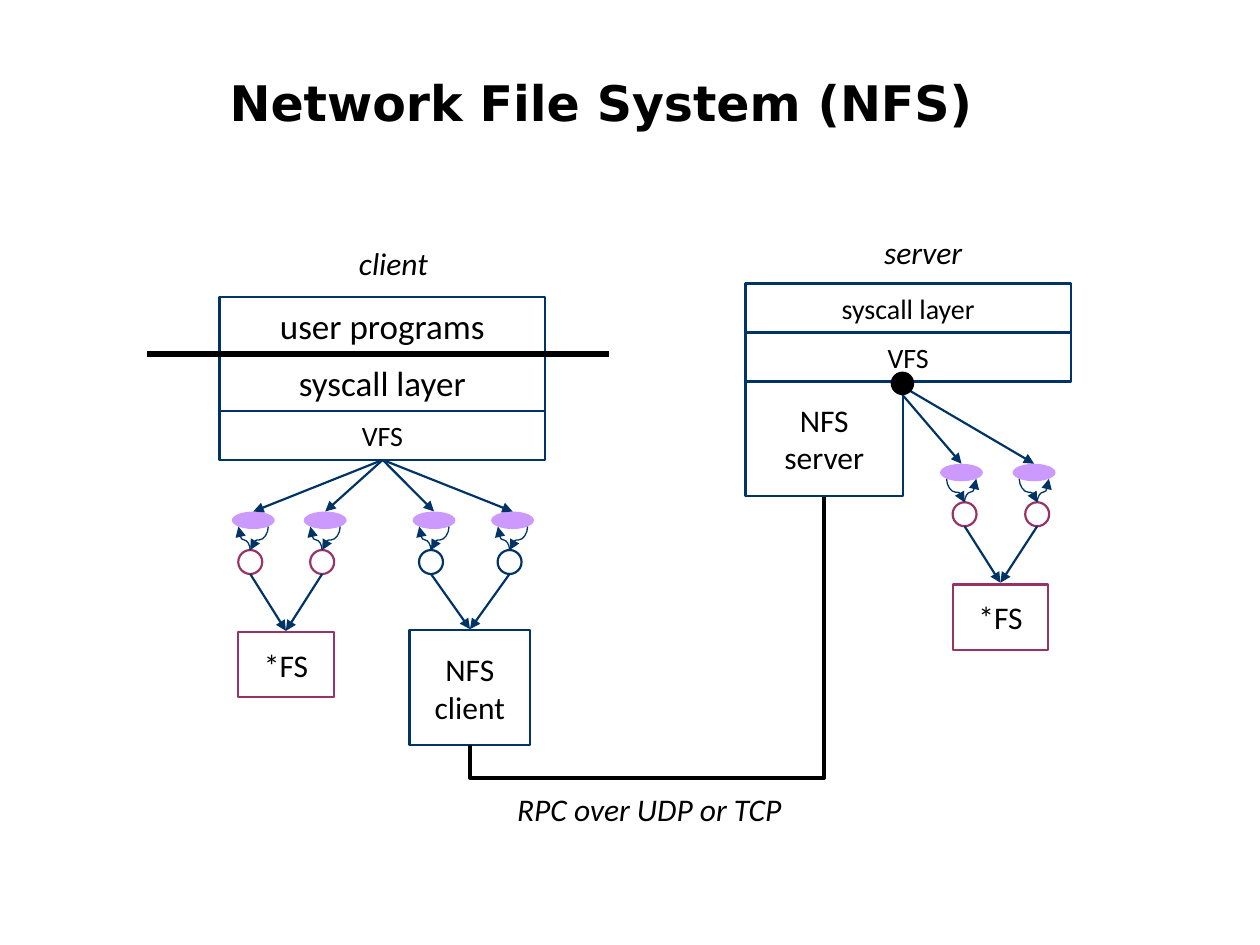
"""Build the Network File System slide as a client and server diagram."""
from typing import NamedTuple

from lxml.etree import SubElement
from pptx import Presentation
from pptx.dml.color import RGBColor
from pptx.enum.shapes import MSO_CONNECTOR, MSO_SHAPE
from pptx.enum.text import MSO_ANCHOR, MSO_AUTO_SIZE, PP_ALIGN
from pptx.oxml.ns import qn
from pptx.util import Pt

HUES = {"black": "000000", "white": "FFFFFF", "navy": "003366",
        "plum": "993366", "lilac": "CC99FF"}
OVAL_W, OVAL_H = 24.5, 10
RING, DROP = 13.7, 22

Point = tuple[float, float]


class Box(NamedTuple):
    text: str
    left: float
    top: float
    width: float
    height: float
    size: float = 18
    hue: str = "navy"


class Vnode(NamedTuple):
    left: float
    top: float
    hue: str
    root: Point
    base: Point
    mirror: bool = False


def tint(name: str) -> RGBColor:
    return RGBColor.from_string(HUES[name])


def write(frame, text: str, size: float, font: str = "Calibri",
          bold: bool = False, italic: bool = False, align=PP_ALIGN.CENTER) -> None:
    frame.text = text
    frame.word_wrap = True
    for para in frame.paragraphs:
        para.alignment = align
        for run in para.runs:
            run.font.name, run.font.size = font, Pt(size)
            run.font.bold, run.font.italic = bold, italic
            run.font.color.rgb = tint("black")


def shape(slide, kind, left: float, top: float, width: float, height: float,
          fill: str, line: str | None = None):
    item = slide.shapes.add_shape(kind, Pt(left), Pt(top), Pt(width), Pt(height))
    item.shadow.inherit = False
    item.fill.solid()
    item.fill.fore_color.rgb = tint(fill)
    if line:
        item.line.color.rgb = tint(line)
        item.line.width = Pt(1.25)
    else:
        item.line.fill.background()
    return item


def draw_box(slide, box: Box) -> None:
    item = shape(slide, MSO_SHAPE.RECTANGLE, box.left, box.top,
                 box.width, box.height, "white", box.hue)
    item.text_frame.vertical_anchor = MSO_ANCHOR.MIDDLE
    write(item.text_frame, box.text, box.size)


def draw_label(slide, box: Box) -> None:
    item = slide.shapes.add_textbox(Pt(box.left), Pt(box.top),
                                    Pt(box.width), Pt(box.height))
    item.text_frame.vertical_anchor = MSO_ANCHOR.MIDDLE
    write(item.text_frame, box.text, box.size, italic=True)


def link(slide, start: Point, end: Point, width: float = 1.25, hue: str = "navy",
         arrow: bool = True, kind=MSO_CONNECTOR.STRAIGHT):
    item = slide.shapes.add_connector(kind, *map(Pt, start + end))
    item.line.color.rgb = tint(hue)
    item.line.width = Pt(width)
    if arrow:
        SubElement(item.line._get_or_add_ln(), qn("a:tailEnd"), type="triangle")
    SubElement(item.element.spPr, qn("a:effectLst"))
    return item


def turn(slide, start: Point, end: Point, bend: float, **style) -> None:
    """Draw a connector that leaves and arrives vertically."""
    (x1, y1), (x2, y2) = start, end
    mid_x, mid_y = (x1 + x2) / 2, (y1 + y2) / 2
    run, rise = (x2 - x1) / 2, (y2 - y1) / 2
    item = link(slide, (mid_x - rise, mid_y + run),
                (mid_x + rise, mid_y - run), **style)
    props = item.element.spPr
    props.find(qn("a:xfrm")).set("rot", "5400000")
    geom = props.find(qn("a:prstGeom"))
    guides = geom.find(qn("a:avLst"))
    if guides is None:
        guides = SubElement(geom, qn("a:avLst"))
    SubElement(guides, qn("a:gd"), name="adj1", fmla=f"val {round(bend * 100000)}")


def draw_node(slide, node: Vnode) -> None:
    def across(step: float) -> float:
        return node.left + (OVAL_W - step if node.mirror else step)

    ring_x, ring_y = across(10.5), node.top + DROP
    low = node.top + 8.6
    shape(slide, MSO_SHAPE.OVAL, ring_x - RING / 2, ring_y, RING, RING,
          "white", node.hue)
    shape(slide, MSO_SHAPE.OVAL, node.left, node.top, OVAL_W, OVAL_H, "lilac")
    curve = {"width": 0.75, "kind": MSO_CONNECTOR.CURVE}
    turn(slide, (across(20.8), low), (ring_x, ring_y), 0.57, **curve)
    turn(slide, (ring_x, ring_y), (across(3.8), low), 0.43, **curve)
    link(slide, node.root, (node.left + OVAL_W / 2, node.top))
    link(slide, (ring_x, ring_y + RING), node.base)


def main() -> None:
    deck = Presentation()
    deck.slide_width, deck.slide_height = Pt(720), Pt(540)
    slide = deck.slides.add_slide(deck.slide_layouts[5])

    title = slide.shapes.title
    title.left, title.top, title.width, title.height = map(Pt, (124, 38, 479, 41))
    title.text_frame.auto_size = MSO_AUTO_SIZE.NONE
    title.text_frame.vertical_anchor = MSO_ANCHOR.TOP
    write(title.text_frame, "Network File System (NFS)", 28, "DejaVu Sans",
          bold=True, align=PP_ALIGN.LEFT)

    boxes = [
        Box("syscall layer", 426, 162, 186, 28, 16),
        Box("*FS", 544.5, 334, 54.5, 37.5, hue="plum"),
        Box("NFS\nserver", 426, 217.5, 90, 66),
        Box("VFS", 426, 190, 186, 28, 16),
        Box("VFS", 125.5, 234.7, 186, 28, 16),
        Box("NFS\nclient", 234, 360, 69, 66),
        Box("*FS", 136.2, 361, 54.5, 37.5, hue="plum"),
        Box("syscall layer", 125.5, 202.3, 186, 32.4, 20),
        Box("user programs", 125.5, 169.9, 186, 32.4, 20),
    ]
    for box in boxes:
        draw_box(slide, box)

    vfs, local, remote, store = (218.7, 262.8), (163.4, 360.5), (268.6, 359.5), (571.7, 333)
    nodes = [
        Vnode(132.5, 292.3, "plum", vfs, local),
        Vnode(173.6, 292.3, "plum", vfs, local),
        Vnode(235.8, 292.3, "navy", vfs, remote),
        Vnode(280.7, 292.3, "navy", vfs, remote),
        Vnode(537.2, 265, "plum", (515.5, 225.4), store, True),
        Vnode(578.7, 265, "plum", (519.8, 223.2), store, True),
    ]
    for node in nodes:
        draw_node(slide, node)

    shape(slide, MSO_SHAPE.OVAL, 509.6, 213, 12.2, 12.2, "black", "black")
    turn(slide, (268.6, 426), (471, 284), -0.13, width=2.25, hue="black",
         arrow=False, kind=MSO_CONNECTOR.ELBOW)
    link(slide, (84, 202.3), (348, 202.3), 3, "black", arrow=False)

    labels = [
        Box("client", 191, 132, 67.7, 36),
        Box("server", 490.5, 126, 74, 36),
        Box("RPC over UDP or TCP", 250.6, 444.5, 241, 36),
    ]
    for label in labels:
        draw_label(slide, label)

    deck.save("out.pptx")


if __name__ == "__main__":
    main()
